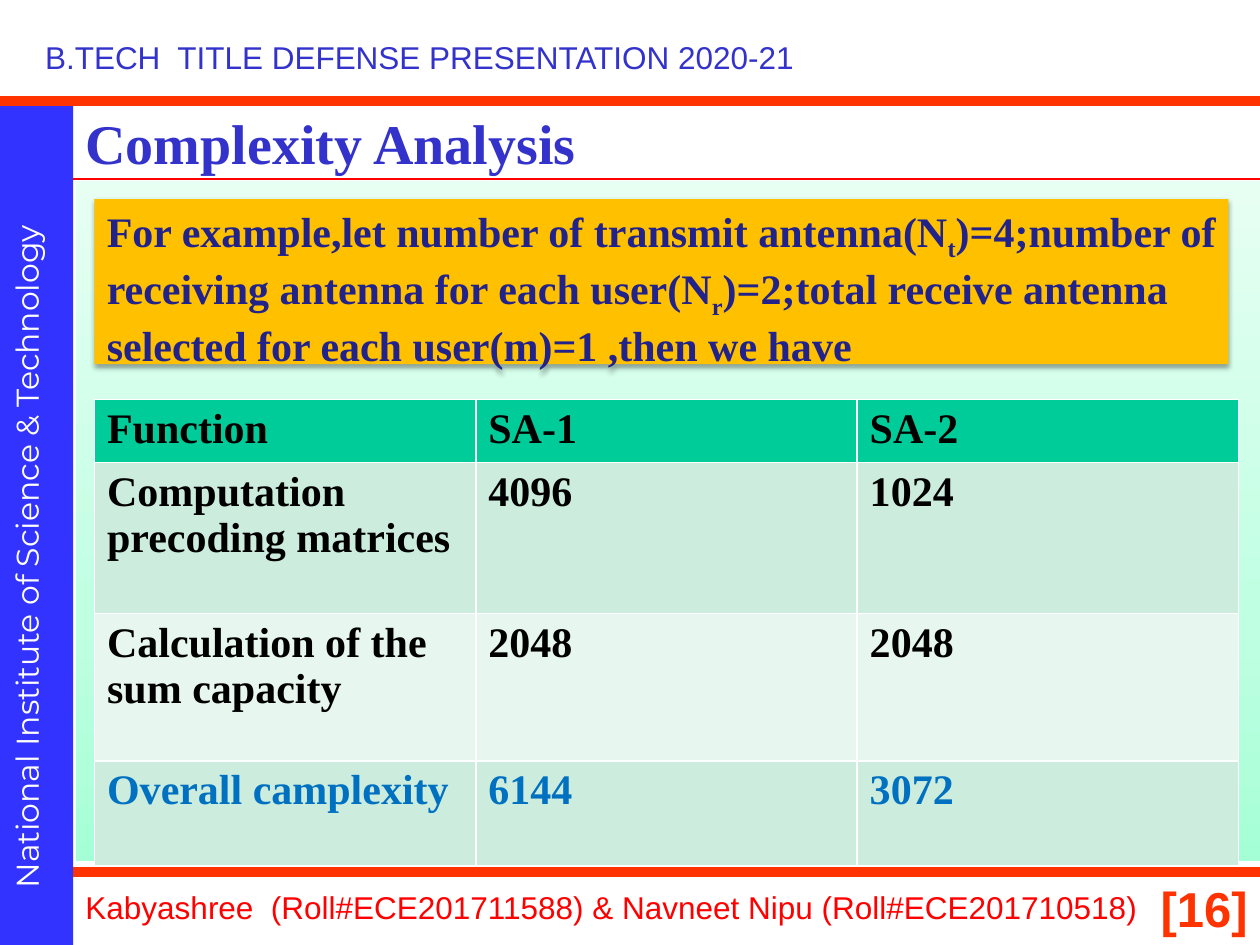
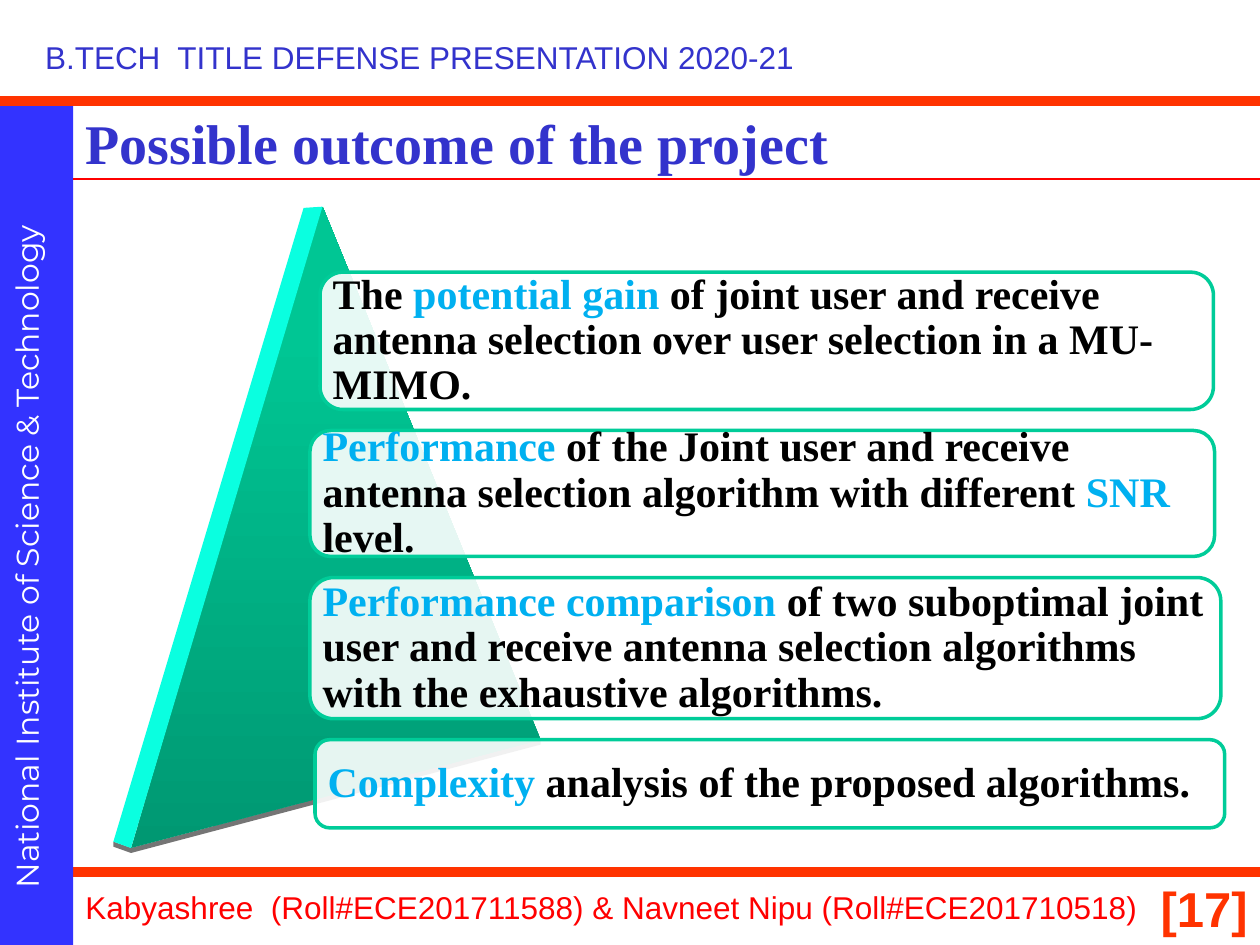
import dataclasses

import lxml.etree
import pptx
import pptx.dml.color
import pptx.enum.shapes
import pptx.enum.text
import pptx.oxml
import pptx.oxml.ns
import pptx.util

SHAPE = pptx.enum.shapes.MSO_SHAPE
ANCHOR = pptx.enum.text.MSO_ANCHOR
ALIGN = pptx.enum.text.PP_ALIGN
CELL = pptx.util.Inches(0.1)
COLUMNS, ROWS = 100, 75


@dataclasses.dataclass(frozen=True)
class Theme:
    """Colours, fonts and type sizes of the deck."""
    sans: str = "Arial"
    side: str = "Montserrat"
    serif: str = "Times New Roman"
    small: int = 18
    body: int = 24
    page: int = 28
    title: int = 32
    white: str = "FFFFFF"
    black: str = "000000"
    red: str = "FF0000"
    orange: str = "FF3300"
    sidebar: str = "3333FF"
    heading: str = "3333CC"
    navy: str = "22228B"
    amber: str = "FFC000"
    green: str = "00CC99"
    mint: str = "CCECDE"
    pale: str = "E7F6EF"
    total: str = "0070C0"
    accent: str = "00B0F0"
    edge: str = "0AFFE0"
    shade: str = "757575"
    panel: tuple = ((0, "A5FFD6"), (35, "BFFFE2"), (100, "E7FFF3"))
    face: tuple = ((0, "009872"), (80, "00C694"), (100, "00C795"))


@dataclasses.dataclass(frozen=True)
class Box:
    """A region measured in grid cells."""
    left: float
    top: float
    width: float
    height: float

    def inner(self, x, y, width, height):
        """Return a box offset from this one's corner."""
        return Box(self.left + x, self.top + y, width, height)

    def lengths(self):
        """Return the four measures as slide lengths."""
        return [cells(v) for v in (self.left, self.top, self.width, self.height)]


THEME = Theme()
PAGE = Box(0, 0, COLUMNS, ROWS)
TITLE = Box(5.8, 8.1, 86.7, 6.3)
CONTENT = Box(6, 14.4, 94, 53.9)


def cells(count):
    """Convert grid cells to a slide length."""
    return pptx.util.Emu(round(count * CELL))


def rgb(value):
    """Turn a hex string into a colour."""
    return pptx.dml.color.RGBColor.from_string(value)


def child(parent, tag, **attributes):
    """Append a drawing element to a parent."""
    element = lxml.etree.SubElement(parent, pptx.oxml.ns.qn(tag))
    for key, value in attributes.items():
        element.set(key, str(value))
    return element


def paint(shape, colour, outline=None):
    """Give a shape a plain or graded fill, an optional line and no shadow."""
    shape.shadow.inherit = False
    if isinstance(colour, str):
        shape.fill.solid()
        shape.fill.fore_color.rgb = rgb(colour)
    else:
        shape.fill.gradient()
        shape.fill.gradient_angle = 90
        stops = shape._element.spPr.find(".//" + pptx.oxml.ns.qn("a:gsLst"))
        stops.clear()
        for place, value in colour:
            child(child(stops, "a:gs", pos=place * 1000), "a:srgbClr", val=value)
    if outline:
        shape.line.color.rgb = rgb(outline)
        shape.line.width = pptx.util.Pt(2)
    else:
        shape.line.fill.background()
    return shape


def block(slide, box, colour, kind=SHAPE.RECTANGLE, outline=None):
    """Add a painted preset shape."""
    return paint(slide.shapes.add_shape(kind, *box.lengths()), colour, outline)


def write(frame, runs, size, font, bold=False, align=ALIGN.LEFT):
    """Write (text, colour, baseline) runs into one paragraph."""
    paragraph = frame.paragraphs[0]
    paragraph.alignment = align
    for text, colour, baseline in runs:
        run = paragraph.add_run()
        run.text = text
        run.font.size = pptx.util.Pt(size)
        run.font.name = font
        run.font.bold = bold
        run.font.color.rgb = rgb(colour)
        if baseline:
            run._r.get_or_add_rPr().set("baseline", str(baseline * 1000))
    return paragraph


def label(slide, box, text, colour, size, font, wrap=True, **style):
    """Add a one-run text box."""
    holder = slide.shapes.add_textbox(*box.lengths())
    holder.text_frame.word_wrap = wrap
    write(holder.text_frame, [(text, colour, 0)], size, font, **style)
    return holder


def rule(slide, box, colour, weight):
    """Draw a horizontal rule along the top of a box."""
    line = slide.shapes.add_connector(
        pptx.enum.shapes.MSO_CONNECTOR.STRAIGHT, cells(box.left), cells(box.top),
        cells(box.left + box.width), cells(box.top))
    line.line.color.rgb = rgb(colour)
    line.line.width = pptx.util.Pt(weight)
    child(line._element.spPr, "a:effectLst")


def sidebar(slide, box):
    """Place the blue band with the institute's name turned upwards."""
    block(slide, box, THEME.sidebar)
    name = label(slide, box.inner(-28.7, 30.7, 61.6, 4),
                 "National Institute of Science & Technology",
                 THEME.white, THEME.small, THEME.side)
    name.rotation = 270
    name.text_frame.paragraphs[0].space_before = pptx.util.Pt(11.2)


def header(slide, box):
    """Place the event line and the thick rule below it."""
    label(slide, box.inner(2.6, 2.5, 62, 4.1),
          "B.TECH  TITLE DEFENSE PRESENTATION 2020-21",
          THEME.heading, THEME.small, THEME.sans, wrap=False)
    rule(slide, box.inner(0, box.height, box.width, 0), THEME.orange, 6)


def footer(slide, box, number):
    """Place the authors and the page number."""
    label(slide, box.inner(5.8, 0.8, 87.5, 4.1),
          "Kabyashree  (Roll#ECE201711588) & Navneet Nipu (Roll#ECE201710518)",
          THEME.red, THEME.small, THEME.sans)
    label(slide, box.inner(89.2, 0, 10.8, 5.8), f"[{number}]", THEME.orange,
          THEME.page, THEME.sans, bold=True, align=ALIGN.RIGHT)


def heading(slide, box, text):
    """Place the slide title and its thin rule."""
    rule(slide, box.inner(0, 6.1, COLUMNS - box.left, 0), THEME.red, 0.75)
    holder = label(slide, box, text, THEME.heading, THEME.title, THEME.serif, bold=True)
    holder.text_frame.vertical_anchor = ANCHOR.MIDDLE


def framed_slide(deck, title, number):
    """Start a blank slide with everything the slides share."""
    slide = deck.slides.add_slide(deck.slide_layouts[6])
    rule(slide, PAGE.inner(0, 69.2, COLUMNS, 0), THEME.orange, 6)
    sidebar(slide, PAGE.inner(0, 8, 5.8, 67))
    header(slide, PAGE.inner(0, 0, COLUMNS, 8))
    footer(slide, PAGE.inner(0, 69.2, COLUMNS, 5.8), number)
    heading(slide, TITLE, title)
    return slide


def premise(slide, box):
    """Place the amber banner that states the antenna example."""
    banner = block(slide, box, THEME.amber)
    effects = banner._element.spPr.find(pptx.oxml.ns.qn("a:effectLst"))
    shadow = child(effects, "a:outerShdw", blurRad=pptx.util.Pt(3.1),
                   dist=pptx.util.Pt(1.8), dir=5400000, rotWithShape=0)
    child(child(shadow, "a:srgbClr", val=THEME.black), "a:alpha", val=35000)
    banner.text_frame.word_wrap = True
    banner.text_frame.vertical_anchor = ANCHOR.TOP
    pieces = [
        ("For example,let number of transmit antenna(N", 0), ("t", -25),
        (")=4;number of receiving antenna for each user(N", 0), ("r", -25),
        (")=2;total receive antenna selected for each user(m)=1 ,then we have", 0)]
    write(banner.text_frame, [(text, THEME.navy, base) for text, base in pieces],
          THEME.body, THEME.serif, bold=True)


def complexity_table(slide, box):
    """Place the comparison of the two algorithms."""
    rows = [
        (4.7, THEME.green, THEME.black, ("Function", "SA-1", "SA-2")),
        (12, THEME.mint, THEME.black, ("Computation precoding matrices", "4096", "1024")),
        (11.7, THEME.pale, THEME.black, ("Calculation of the sum capacity", "2048", "2048")),
        (8.3, THEME.mint, THEME.total, ("Overall camplexity", "6144", "3072"))]
    table = slide.shapes.add_table(len(rows), 3, *box.lengths()).table
    for column in table.columns:
        column.width = cells(box.width / 3)
    for r, (height, fill, colour, values) in enumerate(rows):
        table.rows[r].height = cells(height)
        for c, value in enumerate(values):
            cell = table.cell(r, c)
            cell.fill.solid()
            cell.fill.fore_color.rgb = rgb(fill)
            write(cell.text_frame, [(value, colour, 0)], THEME.body, THEME.serif, bold=True)


def polygon(slide, box, points, colour):
    """Draw a closed outline from points given in cells of the box."""
    corners = [(cells(box.left + x), cells(box.top + y)) for x, y in points]
    builder = slide.shapes.build_freeform(*corners[0], scale=1.0)
    builder.add_line_segments(corners[1:], close=True)
    paint(builder.convert_to_shape(), colour)


def pyramid(slide, box):
    """Draw the tilted solid triangle with its lit edge and underside."""
    back_top, top = (15.1, 0.1), (16.6, 0)
    back_foot, foot, right = (0, 50.4), (1.4, 50.9), (33.9, 42.3)
    under = [(x, y + 0.4) for x, y in (right, foot, back_foot)]
    polygon(slide, box, [back_foot, foot, right] + under, THEME.shade)
    polygon(slide, box, [top, right, foot], THEME.face)
    polygon(slide, box, [back_top, top, foot, back_foot], THEME.edge)


def outcome(slide, box, pieces):
    """Place one rounded card, its marked words in the accent colour."""
    card = block(slide, box, THEME.white, SHAPE.ROUNDED_RECTANGLE, THEME.green)
    tint = card._element.spPr.find(".//" + pptx.oxml.ns.qn("a:srgbClr"))
    child(tint, "a:alpha", val=90000)
    frame = card.text_frame
    frame.word_wrap = True
    frame.vertical_anchor = ANCHOR.MIDDLE
    inset = cells(1 - box.height * 0.29 / 6)
    frame.margin_left = frame.margin_right = inset
    frame.margin_top = frame.margin_bottom = inset
    runs = [(text, THEME.accent if marked else THEME.black, 0) for text, marked in pieces]
    write(frame, runs, THEME.body, THEME.serif, bold=True).line_spacing = 0.9


def complexity_slide(deck):
    """Build the complexity analysis slide."""
    slide = framed_slide(deck, "Complexity Analysis", 16)
    block(slide, CONTENT, THEME.panel)
    complexity_table(slide, CONTENT.inner(1.5, 17.3, 90.8, 36.7))
    premise(slide, CONTENT.inner(1.5, 1.4, 90, 13.1))


def outcome_slide(deck):
    """Build the slide of expected outcomes."""
    slide = framed_slide(deck, "Possible outcome of the project", 17)
    pyramid(slide, CONTENT.inner(3, 2, 34, 51.3))
    cards = [
        (19.4, 70.9, 10.9, [
            ("The ", False), ("potential gain ", True),
            ("of joint user and receive antenna selection over user selection "
             "in a MU-MIMO.", False)]),
        (18.6, 71.8, 10, [
            ("Performance", True),
            (" of the Joint user and receive antenna selection algorithm "
             "with different ", False), ("SNR", True), (" level.", False)]),
        (18.6, 72.3, 11.2, [
            ("Performance comparison ", True),
            ("of two suboptimal joint user and receive antenna selection "
             "algorithms with the exhaustive algorithms.", False)]),
        (19, 72.2, 7, [
            ("Complexity", True), (" analysis of the proposed algorithms.", False)])]
    top, gap = 7.2, 1.67
    for left, width, height, pieces in cards:
        outcome(slide, CONTENT.inner(left, top, width, height), pieces)
        top += height + gap


deck = pptx.Presentation()
deck.slide_width, deck.slide_height = cells(COLUMNS), cells(ROWS)
complexity_slide(deck)
outcome_slide(deck)
deck.save("out.pptx")
